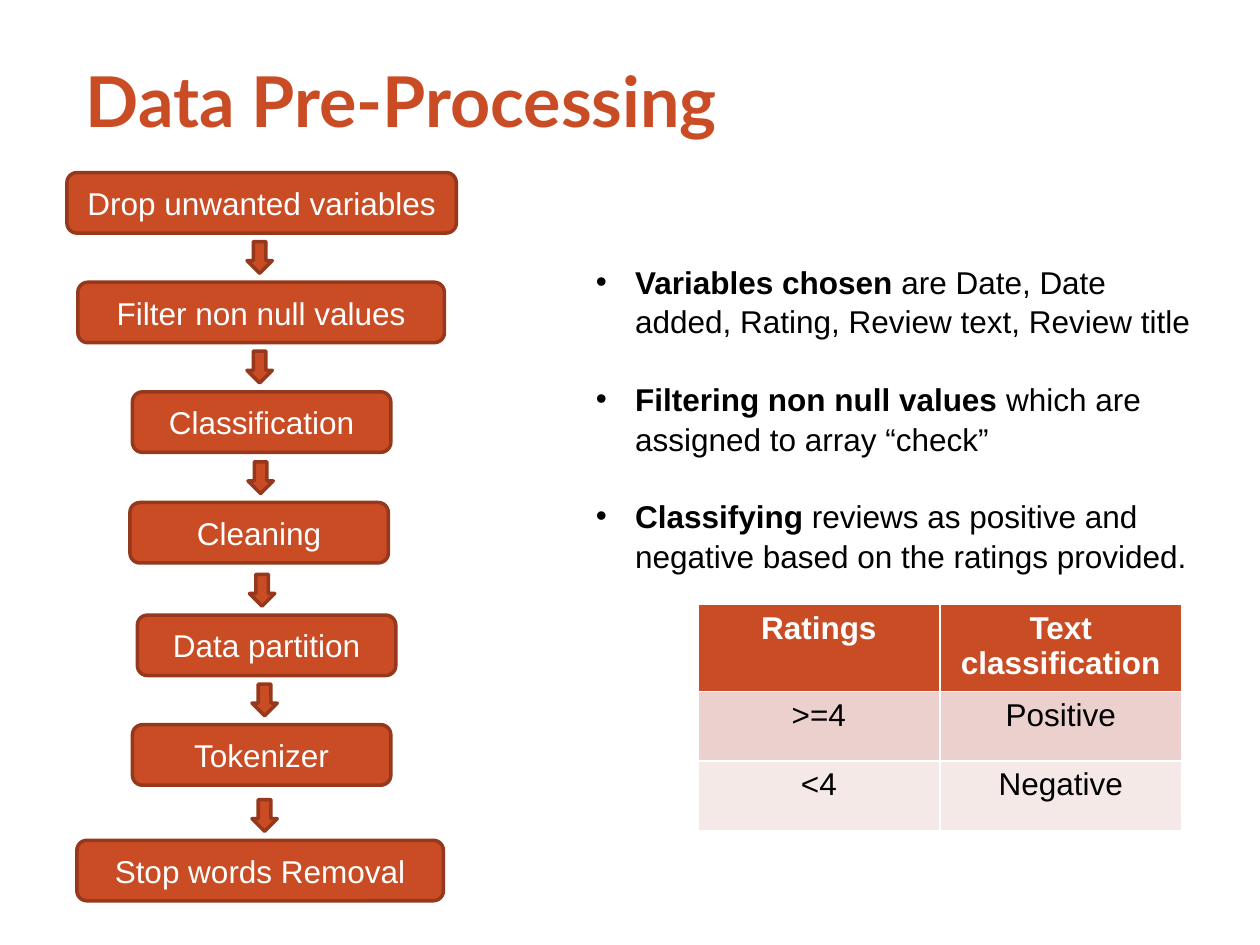
from lxml import etree
from pptx import Presentation
from pptx.dml.color import RGBColor
from pptx.enum.shapes import MSO_SHAPE
from pptx.enum.text import MSO_ANCHOR, MSO_AUTO_SIZE, PP_ALIGN
from pptx.oxml.ns import qn
from pptx.util import Cm, Pt

ROUNDED, ARROW = MSO_SHAPE.ROUNDED_RECTANGLE, MSO_SHAPE.DOWN_ARROW
LEFT, CENTER = PP_ALIGN.LEFT, PP_ALIGN.CENTER
TOP, MIDDLE = MSO_ANCHOR.TOP, MSO_ANCHOR.MIDDLE
NO_FIT = MSO_AUTO_SIZE.NONE
ORANGE, RUST, WHITE, BLACK = "C94C25", "95381B", "FFFFFF", "000000"
BANDS = [ORANGE, "EBD0CD", "F5E9E8"]

STEPS = [
    ("Drop unwanted variables", 0, 0, 7.85),
    ("Filter non null values", 0.22, 2.21, 7.39),
    ("Classification", 1.32, 4.42, 5.21),
    ("Cleaning", 1.27, 6.65, 5.21),
    ("Data partition", 1.42, 8.92, 5.21),
    ("Tokenizer", 1.32, 11.13, 5.21),
    ("Stop words Removal", 0.2, 13.46, 7.39),
]
ARROW_LEFTS = [3.63, 3.63, 3.65, 3.68, 3.73, 3.73]
POINTS = [
    ("Variables chosen ", "are Date, Date added, Rating, Review text, Review title"),
    ("Filtering non null values ", "which are assigned to array “check”"),
    ("Classifying ", "reviews as positive and negative based on the ratings provided."),
]
RATINGS = [("Ratings", "Text classification"), (">=4", "Positive"), ("<4", "Negative")]


def color(value):
    """Turn a hex string into a colour."""
    return RGBColor.from_string(value)


def style(font, value, size=18, bold=False, name="Arial"):
    """Format a font."""
    font.name, font.size, font.bold = name, Pt(size), bold
    font.color.rgb = color(value)


def place(shape, left, top, width, height):
    """Move and size a shape, in centimetres."""
    shape.left, shape.top = Cm(left), Cm(top)
    shape.width, shape.height = Cm(width), Cm(height)


def indent(para, margin, hanging=0, bullet=None):
    """Set a paragraph's indents in centimetres and its bullet."""
    props = para._p.get_or_add_pPr()
    props.set("marL", str(Cm(margin)))
    props.set("indent", str(Cm(-hanging)))
    if bullet:
        etree.SubElement(props, qn("a:buFont")).set("typeface", "Arial")
        etree.SubElement(props, qn("a:buChar")).set("char", bullet)
    else:
        etree.SubElement(props, qn("a:buNone"))


def add_title(page, left, top, width, height):
    """Fill the title placeholder."""
    title = page.shapes.title
    place(title, left, top, width, height)
    frame = title.text_frame
    frame.text = "Data Pre-Processing"
    frame.auto_size, frame.vertical_anchor = NO_FIT, MIDDLE
    frame.margin_left = frame.margin_right = 0
    para = frame.paragraphs[0]
    para.alignment = LEFT
    indent(para, 0.51)
    style(para.runs[0].font, ORANGE, 40, True, "Lato")


def add_block(page, kind, left, top, width, height):
    """Add an outlined orange shape."""
    shape = page.shapes.add_shape(kind, Cm(left), Cm(top), Cm(width), Cm(height))
    shape.shadow.inherit = False
    shape.fill.solid()
    shape.fill.fore_color.rgb = color(ORANGE)
    shape.line.color.rgb = color(RUST)
    shape.line.width = Pt(2)
    return shape


def add_flow(page, left, top):
    """Draw the steps, with an arrow above each one after the first."""
    for label, across, down, width in STEPS:
        step = add_block(page, ROUNDED, left + across, top + down, width, 1.22)
        frame = step.text_frame
        frame.text = label
        frame.vertical_anchor = MIDDLE
        para = frame.paragraphs[0]
        para.alignment = CENTER
        style(para.runs[0].font, WHITE)
    for across, (_, _, down, _) in zip(ARROW_LEFTS, STEPS[1:]):
        add_block(page, ARROW, left + across, top + down - 0.82, 0.51, 0.64)


def add_points(page, left, top, width, height):
    """Fill the body placeholder with the bulleted points."""
    body = page.placeholders[1]
    place(body, left, top, width, height)
    frame = body.text_frame
    frame.auto_size, frame.vertical_anchor = NO_FIT, TOP
    for index, parts in enumerate(POINTS):
        para = frame.add_paragraph() if index else frame.paragraphs[0]
        indent(para, 0.79, 0.79, "•")
        para.alignment = LEFT
        para.line_spacing = 1.05
        para.space_before = Pt(21.6 if index else 0)
        for text, bold in zip(parts, (True, False)):
            span = para.add_run()
            span.text = text
            style(span.font, BLACK, bold=bold)


def add_ratings(page, left, top, width):
    """Add the table of rating classes."""
    heights = [1.75, 1.4, 1.4]
    table = page.shapes.add_table(
        len(RATINGS), 2, Cm(left), Cm(top), Cm(width), Cm(sum(heights))
    ).table
    for column in table.columns:
        column.width = Cm(width / 2)
    for index, (texts, fill) in enumerate(zip(RATINGS, BANDS)):
        table.rows[index].height = Cm(heights[index])
        for cell, text in zip(table.rows[index].cells, texts):
            cell.text = text
            cell.fill.solid()
            cell.fill.fore_color.rgb = color(fill)
            para = cell.text_frame.paragraphs[0]
            para.alignment = CENTER
            style(para.runs[0].font, BLACK if index else WHITE, bold=index == 0)


def main():
    """Build and save the deck."""
    deck = Presentation()
    deck.slide_width, deck.slide_height = Cm(25.4), Cm(19.05)
    page = deck.slides.add_slide(deck.slide_layouts[1])
    add_title(page, 1.22, 0.89, 14.3, 2.24)
    add_flow(page, 1.35, 3.48)
    add_points(page, 11.76, 5.13, 12.55, 10.26)
    add_ratings(page, 14.07, 12.19, 9.75)
    deck.save("out.pptx")


if __name__ == "__main__":
    main()
